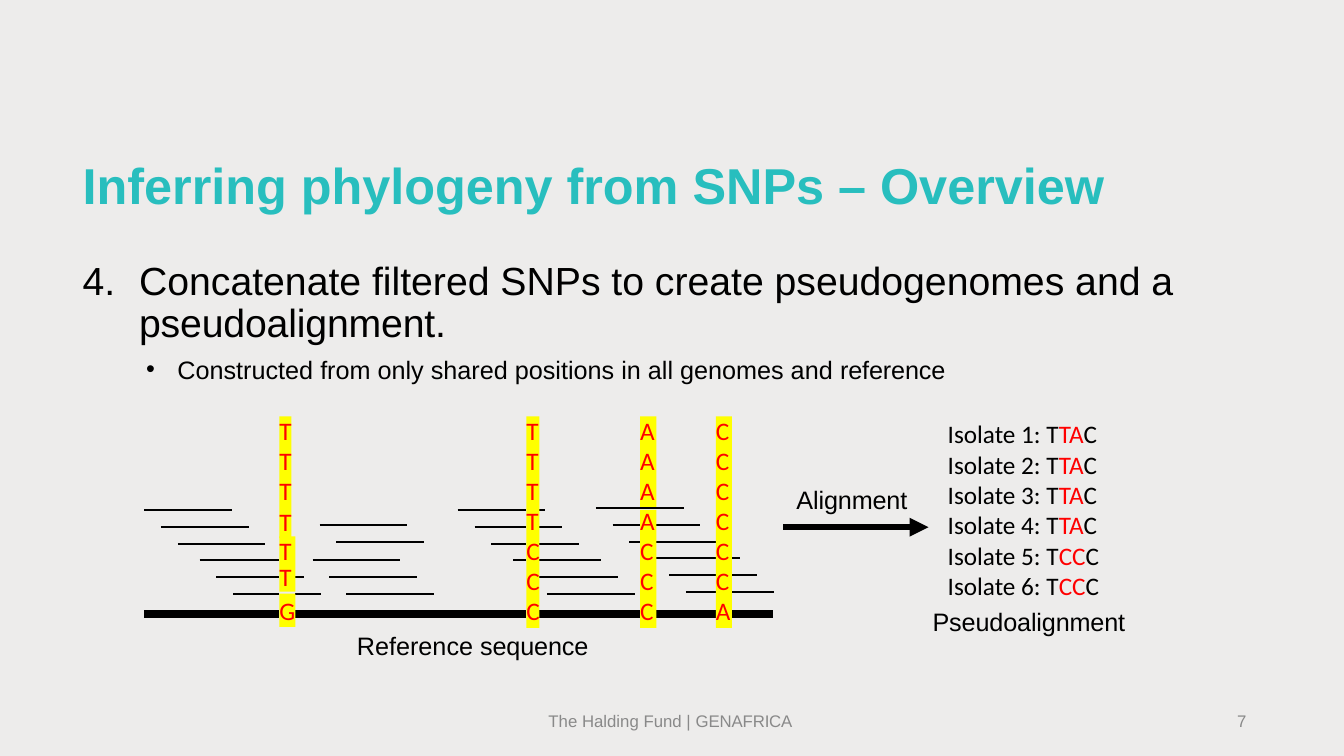
import pptx
import pptx.util
import pptx.dml.color
import pptx.enum.shapes
import pptx.enum.text
import lxml.etree
from dataclasses import dataclass

Inches, Pt = pptx.util.Inches, pptx.util.Pt


@dataclass(frozen=True)
class Theme:
    background: str = "EDECEB"
    title: str = "28BEBE"
    text: str = "000000"
    snp: str = "FF0000"
    highlight: str = "FFFF00"
    footer: str = "898989"
    title_size: float = 36
    step_size: float = 28
    label_size: float = 18
    footer_size: float = 12
    main_font: str = "Arial"
    sequence_font: str = "Calibri"


THEME = Theme()

# Content; the second part of each pair is set slightly tighter
TITLE = "Inferring phylogeny from SNPs – Overview"
STEP_NUMBER = 4
STEP = ("Concatenate filtered SNPs to create pseudogenomes and a ", "pseudoalignment.")
DETAIL = ("Constructed from only shared positions in all genomes and ", "reference")
ISOLATES = ["TTAC", "TTAC", "TTAC", "TTAC", "TCCC", "TCCC"]
ALIGNMENT_CAPTION = ("", "Pseudoalignment")

# Text, left, top, width, height, size, colour
LABELS = [
    (("Reference ", "sequence"), 3.54, 6.25, 2.33, 0.31, THEME.label_size, THEME.text),
    (("", "Alignment"), 7.9, 4.8, 1.2, 0.31, THEME.label_size, THEME.text),
    (("The Halding Fund | ", "GENAFRICA"), 5.44, 7.05, 2.6, 0.21,
     THEME.footer_size, THEME.footer),
    (("", "7"), 12.27, 7.05, 0.25, 0.21, THEME.footer_size, THEME.footer),
]

# Staggered groups of reads: left, top, number of reads
READ_GROUPS = [
    (1.43, 5.06, 3), (1.98, 5.56, 3), (3.17, 5.21, 2), (3.1, 5.56, 3),
    (4.54, 5.06, 3), (5.09, 5.56, 3), (5.91, 5.04, 3), (6.47, 5.54, 3),
]
READ_LENGTH, READ_STEP = 0.87, 1 / 6
REFERENCE = (1.43, 6.09, 7.67)
ARROW = (7.77, 5.23, 9.21)

# SNP columns: letters, left, top, width, height, first line and pitch in points
SNP_COLUMNS = [
    ("TTTT", 2.77, 4.13, 0.12, 1.21, 20.8, 21.6),
    ("TT", 2.77, 5.32, 0.16, 0.55, 20.8, 19),
    ("G", 2.77, 5.89, 0.16, 0.33, 22.8, 21.4),
    ("TTTTCCC", 5.22, 4.13, 0.13, 2.1, 20.8, 21.4),
    ("AAA", 6.35, 4.13, 0.16, 0.9, 20.8, 21.4),
    ("ACCC", 6.35, 5.06, 0.16, 1.17, 18.4, 21.4),
    ("CCCCCCA", 7.1, 4.13, 0.16, 2.1, 20.8, 21.4),
]


def rgb(value):
    return pptx.dml.color.RGBColor.from_string(value)


def set_font(target, size, colour, name=THEME.main_font):
    target.font.size = Pt(size)
    target.font.name = name
    target.font.color.rgb = rgb(colour)


def clear_frame(frame):
    frame.margin_left = frame.margin_top = frame.margin_right = frame.margin_bottom = 0
    frame.word_wrap = True
    frame.auto_size = pptx.enum.text.MSO_AUTO_SIZE.NONE
    frame.vertical_anchor = pptx.enum.text.MSO_ANCHOR.TOP
    return frame


def add_text_frame(slide, *box):
    return clear_frame(slide.shapes.add_textbox(*map(Inches, box)).text_frame)


def next_paragraph(frame, index):
    return frame.add_paragraph() if index else frame.paragraphs[0]


def fill_paragraph(paragraph, parts, size, colour):
    normal, tight = parts
    if normal:
        paragraph.add_run().text = normal
    run = paragraph.add_run()
    run.text = tight
    run._r.get_or_add_rPr().set("spc", "-10")
    set_font(paragraph, size, colour)


def set_indent(paragraph, left, first=0):
    properties = paragraph._p.get_or_add_pPr()
    properties.set("marL", str(Inches(left)))
    properties.set("indent", str(Inches(first)))
    return properties


def add_drawing_element(parent, tag, **attributes):
    name = pptx.oxml.ns.qn(tag)
    lxml.etree.SubElement(parent, name, {key: str(value) for key, value in attributes.items()})


def add_line(slide, left, top, right, width):
    line = slide.shapes.add_connector(
        pptx.enum.shapes.MSO_CONNECTOR.STRAIGHT,
        Inches(left), Inches(top), Inches(right), Inches(top))
    line.line.color.rgb = rgb(THEME.text)
    line.line.width = Pt(width)
    add_drawing_element(line._element.spPr, "a:effectLst")
    return line


def add_interrupted_line(slide, left, top, right, width):
    """Draw the line only where no SNP column crosses it."""
    for _, column_left, column_top, column_width, column_height, _, _ in SNP_COLUMNS:
        if column_top <= top <= column_top + column_height:
            if left < column_left < right:
                add_line(slide, left, top, column_left, width)
            if column_left < right:
                left = max(left, column_left + column_width)
    if left < right:
        add_line(slide, left, top, right, width)


def add_title(slide):
    title = slide.shapes.title
    title.left, title.top, title.width, title.height = map(Inches, (0.82, 1.53, 11.64, 0.62))
    frame = clear_frame(title.text_frame)
    frame.text = TITLE
    paragraph = frame.paragraphs[0]
    paragraph.alignment = pptx.enum.text.PP_ALIGN.LEFT
    set_font(paragraph, THEME.title_size, THEME.title)
    paragraph.font.bold = True


def add_body(slide):
    frame = add_text_frame(slide, 0.8, 2.52, 10.88, 1.3)
    frame.margin_top = Inches(0.07)
    step = frame.paragraphs[0]
    fill_paragraph(step, STEP, THEME.step_size, THEME.text)
    step.line_spacing, step.space_before = Pt(30), Pt(5)
    add_drawing_element(set_indent(step, 0.58, -0.56), "a:buAutoNum",
                        type="arabicPeriod", startAt=STEP_NUMBER)
    detail = frame.add_paragraph()
    fill_paragraph(detail, DETAIL, THEME.label_size, THEME.text)
    detail.level = 1
    detail.space_before = Pt(6.5)
    properties = set_indent(detail, 0.96, -0.31)
    add_drawing_element(properties, "a:buFont", typeface=THEME.main_font)
    add_drawing_element(properties, "a:buChar", char="•")
    # Bullet properties come before the default run properties
    for paragraph in (step, detail):
        properties = paragraph._p.get_or_add_pPr()
        defaults = properties.find(pptx.oxml.ns.qn("a:defRPr"))
        if defaults is not None:
            properties.append(defaults)


def add_snp_column(slide, letters, left, top, width, height, first_line, pitch):
    column = slide.shapes.add_shape(
        pptx.enum.shapes.MSO_SHAPE.RECTANGLE, *map(Inches, (left, top, width, height)))
    column.shadow.inherit = False
    column.fill.solid()
    column.fill.fore_color.rgb = rgb(THEME.highlight)
    column.line.fill.background()
    frame = clear_frame(column.text_frame)
    for index, letter in enumerate(letters):
        paragraph = next_paragraph(frame, index)
        paragraph.text = letter
        paragraph.alignment = pptx.enum.text.PP_ALIGN.LEFT
        paragraph.line_spacing = Pt(pitch if index else first_line)
        set_font(paragraph, THEME.label_size, THEME.snp, THEME.sequence_font)


def add_pseudoalignment(slide):
    frame = add_text_frame(slide, 9.23, 4.15, 1.97, 2.19)
    for index, bases in enumerate(ISOLATES):
        paragraph = next_paragraph(frame, index)
        paragraph.line_spacing = Pt(21.7)
        set_indent(paragraph, 0.17)
        parts = [(f"Isolate {index + 1}: {bases[0]}", THEME.text),
                 (bases[1:3], THEME.snp), (bases[3], THEME.text)]
        for text, colour in parts:
            run = paragraph.add_run()
            run.text = text
            set_font(run, THEME.label_size, colour, THEME.sequence_font)
    caption = frame.add_paragraph()
    fill_paragraph(caption, ALIGNMENT_CAPTION, THEME.label_size, THEME.text)
    caption.space_before = Pt(4.3)
    set_indent(caption, 0.02)


def main():
    presentation = pptx.Presentation()
    presentation.slide_width, presentation.slide_height = Inches(13.33), Inches(7.5)
    slide = presentation.slides.add_slide(presentation.slide_layouts[5])
    slide.background.fill.solid()
    slide.background.fill.fore_color.rgb = rgb(THEME.background)
    add_title(slide)
    add_body(slide)

    # Reference and mapped reads, crossed by SNP columns
    add_interrupted_line(slide, *REFERENCE, 6)
    for left, top, count in READ_GROUPS:
        for index in range(count):
            shift = index * READ_STEP
            start = left + shift
            add_interrupted_line(slide, start, top + shift, start + READ_LENGTH, 1.5)
    for column in SNP_COLUMNS:
        add_snp_column(slide, *column)

    # Arrow to the pseudoalignment, captions and footer
    arrow = add_line(slide, *ARROW, 4.5)
    add_drawing_element(arrow.line._get_or_add_ln(), "a:tailEnd", type="triangle")
    add_pseudoalignment(slide)
    for parts, left, top, width, height, size, colour in LABELS:
        frame = add_text_frame(slide, left, top, width, height)
        fill_paragraph(frame.paragraphs[0], parts, size, colour)
    presentation.save("out.pptx")


if __name__ == "__main__":
    main()
